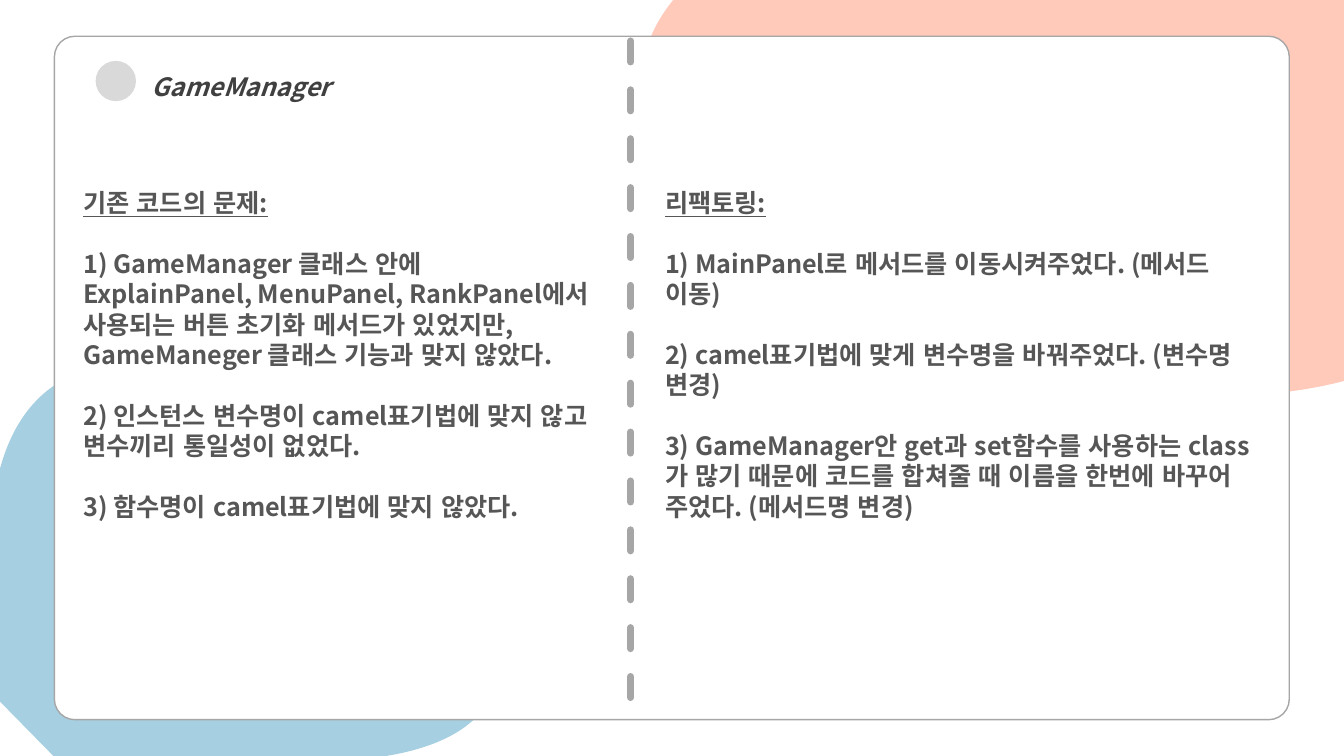
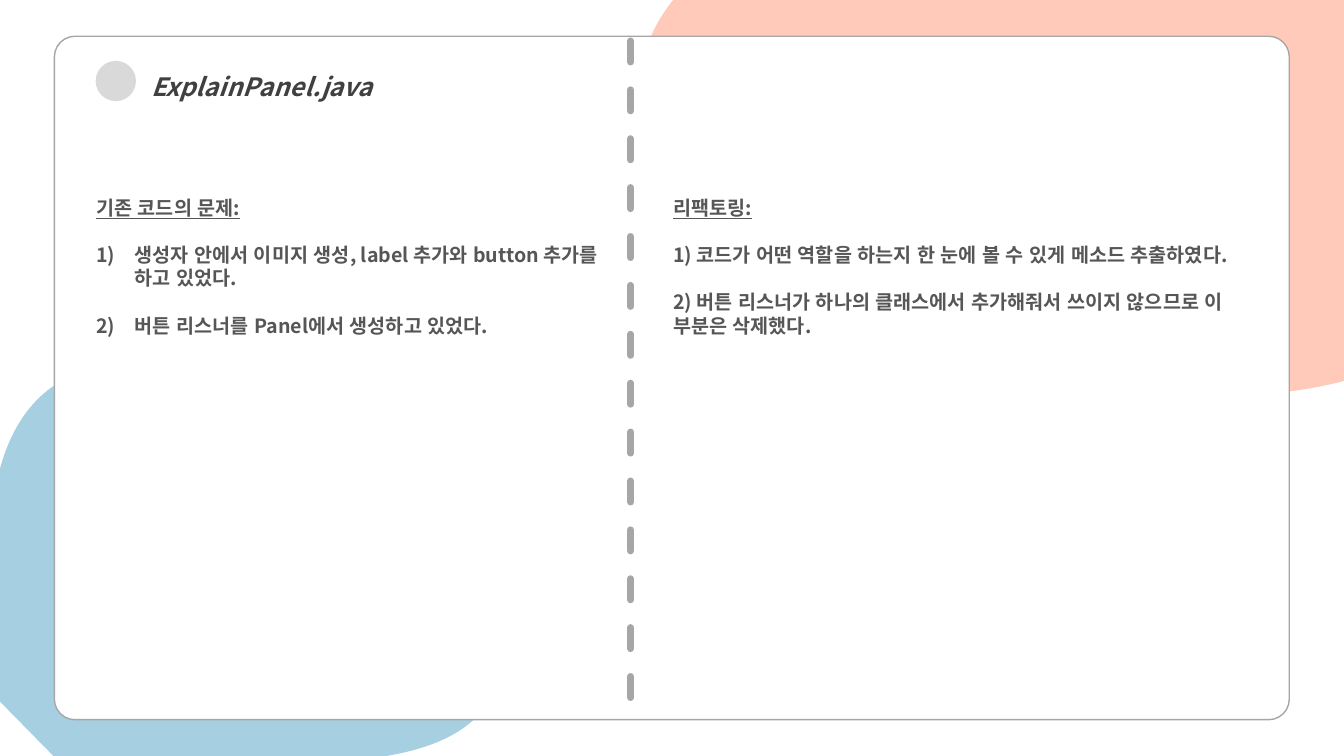
from dataclasses import dataclass

from lxml.etree import SubElement
from pptx import Presentation
from pptx.dml.color import RGBColor
from pptx.enum.dml import MSO_LINE
from pptx.enum.lang import MSO_LANGUAGE_ID
from pptx.enum.shapes import MSO_CONNECTOR, MSO_SHAPE
from pptx.enum.text import MSO_ANCHOR, MSO_AUTO_SIZE, PP_ALIGN
from pptx.oxml.ns import qn
from pptx.util import Emu, Inches, Pt

SLIDE_WIDTH, SLIDE_HEIGHT = Inches(13.333), Inches(7.5)
FONT = "Noto Sans CJK KR"
COLORS = {
    "blue": "A6CFE1",
    "coral": "FFCABA",
    "card": "FFFFFF",
    "rule": "A6A6A6",
    "dot": "D9D9D9",
    "title": "404040",
    "body": "565656",
}
LINE_HEIGHT = 1.21  # one empty line, as a multiple of the text size
NUMBER_INDENT = Inches(0.38)


# Positions and sizes are percentages of the slide's width and height
@dataclass(frozen=True)
class Box:
    left: float
    top: float
    width: float
    height: float

    def lengths(self) -> tuple:
        return (across(self.left), down(self.top),
                across(self.width), down(self.height))


@dataclass(frozen=True)
class Column:
    box: Box
    heading: str
    items: tuple
    numbered: bool = False


@dataclass(frozen=True)
class Review:
    title: str
    text_size: int
    columns: tuple


@dataclass(frozen=True)
class Blob:
    """Each segment holds one point (a line) or three points (a Bézier curve)."""
    color: str
    box: Box
    start: tuple
    segments: tuple


BLOBS = (
    Blob("blue", Box(0, 48.13, 37.13, 51.87), (10.28, 48.13), (
        ((25.8, 48.93), (50.1, 93.73), (28.73, 100)),
        ((3.98, 100),),
        ((0, 92.8),),
        ((0, 62),),
        ((1.58, 51.73), (5.48, 47.87), (10.28, 48.13)),
    )),
    Blob("coral", Box(47.8, 0, 52.2, 52.4), (100, 0), (
        ((100, 50.4),),
        ((77.4, 60.93), (37.8, 26.67), (50.1, 0)),
        ((100, 0),),
    )),
)
CARD = Box(4.05, 4.8, 91.88, 90.4)
TITLE = Box(10.5, 6.8, 33.23, 6.67)
DOT = Box(7.12, 8.05, 3, 5.33)
DIVIDER_X, DIVIDER_TOP, DIVIDER_BOTTOM = 46.92, 4.4, 92.27

PROBLEM, REFACTORING = "기존 코드의 문제:", "리팩토링:"
REVIEWS = (
    Review("GameManager", 18, (
        Column(Box(5.46, 24.18, 39.68, 51.6), PROBLEM, (
            "1) GameManager 클래스 안에 ExplainPanel, MenuPanel, RankPanel에서 "
            "사용되는 버튼 초기화 메서드가 있었지만, GameManeger 클래스 기능과 맞지 않았다.",
            "2) 인스턴스 변수명이 camel표기법에 맞지 않고 변수끼리 통일성이 없었다.",
            "3) 함수명이 camel표기법에 맞지 않았다.",
        )),
        Column(Box(48.75, 24.18, 45.38, 48.53), REFACTORING, (
            "1) MainPanel로 메서드를 이동시켜주었다. (메서드 이동)",
            "2) camel표기법에 맞게 변수명을 바꿔주었다. (변수명 변경)",
            "3) GameManager안 get과 set함수를 사용하는 class가 많기 때문에 "
            "코드를 합쳐줄 때 이름을 한번에 바꾸어 주었다. (메서드명 변경)",
        )),
    )),
    Review("ExplainPanel.java", 14, (
        Column(Box(6.43, 25.22, 39.68, 23.33), PROBLEM, (
            "생성자 안에서 이미지 생성, label 추가와 button 추가를 하고 있었다.",
            "버튼 리스너를 Panel에서 생성하고 있었다.",
        ), numbered=True),
        Column(Box(49.35, 25.22, 45.38, 26.53), REFACTORING, (
            "1) 코드가 어떤 역할을 하는지 한 눈에 볼 수 있게 메소드 추출하였다.",
            "2) 버튼 리스너가 하나의 클래스에서 추가해줘서 쓰이지 않으므로 "
            "이 부분은 삭제했다.",
        )),
    )),
)


def across(percent: float) -> Emu:
    return Emu(round(SLIDE_WIDTH * percent / 100))


def down(percent: float) -> Emu:
    return Emu(round(SLIDE_HEIGHT * percent / 100))


def color(name: str) -> RGBColor:
    return RGBColor.from_string(COLORS[name])


def paint(shape, fill: str, line: str = "") -> None:
    shape.shadow.inherit = False
    shape.fill.solid()
    shape.fill.fore_color.rgb = color(fill)
    if line:
        shape.line.color.rgb = color(line)
        shape.line.width = Pt(1)
    else:
        shape.line.fill.background()


def add_run(paragraph, text: str, size: int, color_name: str,
            italic: bool = False, underline: bool = False) -> None:
    run = paragraph.add_run()
    run.text = text
    font = run.font
    font.name, font.size, font.bold = FONT, Pt(size), True
    font.italic, font.underline = italic, underline
    font.color.rgb = color(color_name)
    font.language_id = MSO_LANGUAGE_ID.KOREAN
    east_asian = SubElement(run._r.get_or_add_rPr(), qn("a:ea"))
    east_asian.set("typeface", FONT)


def number_paragraph(paragraph) -> None:
    properties = paragraph._p.get_or_add_pPr()
    properties.set("marL", str(NUMBER_INDENT))
    properties.set("indent", str(-NUMBER_INDENT))
    SubElement(properties, qn("a:buFont")).set("typeface", FONT)
    SubElement(properties, qn("a:buAutoNum")).set("type", "arabicParenR")


# Shared background
def add_blob(slide, blob: Blob) -> None:
    corners = [(across(x), down(y))
               for x, y in (blob.start, *(segment[-1] for segment in blob.segments))]
    builder = slide.shapes.build_freeform(*corners[0])
    builder.add_line_segments(corners[1:], close=True)
    shape = builder.convert_to_shape()
    left, top, width, height = blob.box.lengths()
    shape.left, shape.top, shape.width, shape.height = left, top, width, height

    # Turn three-point segments into curves, measured from the blob's box
    outline = next(shape.element.iter(qn("a:path")))
    outline.set("w", str(width))
    outline.set("h", str(height))
    for command, points in zip(list(outline), ((blob.start,), *blob.segments)):
        if len(points) == 3:
            command.tag = qn("a:cubicBezTo")
        for old_point in list(command):
            command.remove(old_point)
        for x, y in points:
            point = SubElement(command, qn("a:pt"))
            point.set("x", str(across(x) - left))
            point.set("y", str(down(y) - top))
    paint(shape, blob.color)


def add_background(slide) -> None:
    for blob in BLOBS:
        add_blob(slide, blob)
    card = slide.shapes.add_shape(MSO_SHAPE.ROUNDED_RECTANGLE, *CARD.lengths())
    card.adjustments[0] = 0.03
    paint(card, "card", "rule")


def add_divider(slide) -> None:
    divider = slide.shapes.add_connector(
        MSO_CONNECTOR.STRAIGHT, across(DIVIDER_X), down(DIVIDER_BOTTOM),
        across(DIVIDER_X), down(DIVIDER_TOP))
    divider.line.color.rgb = color("rule")
    divider.line.width = Pt(5)
    divider.line.dash_style = MSO_LINE.DASH
    divider.line._get_or_add_ln().set("cap", "rnd")
    SubElement(divider.element.spPr, qn("a:effectLst"))


# Slide text
def place_title(slide, text: str) -> None:
    title = slide.shapes.title
    title.left, title.top, title.width, title.height = TITLE.lengths()
    frame = title.text_frame
    frame.word_wrap = True
    frame.auto_size = MSO_AUTO_SIZE.NONE
    frame.vertical_anchor = MSO_ANCHOR.TOP
    paragraph = frame.paragraphs[0]
    paragraph.alignment = PP_ALIGN.LEFT
    paragraph.line_spacing = 1.5
    paragraph.space_before = Pt(0)
    add_run(paragraph, text, 18, "title", italic=True)
    title.element.getparent().append(title.element)  # in front of the card
    paint(slide.shapes.add_shape(MSO_SHAPE.OVAL, *DOT.lengths()), "dot")


def add_column(slide, column: Column, size: int) -> None:
    frame = slide.shapes.add_textbox(*column.box.lengths()).text_frame
    frame.word_wrap = True
    add_run(frame.paragraphs[0], column.heading, size, "body", underline=True)
    for item in column.items:
        paragraph = frame.add_paragraph()
        paragraph.space_before = Pt(round(size * LINE_HEIGHT, 1))
        if column.numbered:
            number_paragraph(paragraph)
        add_run(paragraph, item, size, "body")


def add_review(presentation, review: Review) -> None:
    slide = presentation.slides.add_slide(presentation.slide_layouts[5])
    add_background(slide)
    place_title(slide, review.title)
    for column in review.columns:
        add_column(slide, column, review.text_size)
    add_divider(slide)


def main() -> None:
    presentation = Presentation()
    presentation.slide_width, presentation.slide_height = SLIDE_WIDTH, SLIDE_HEIGHT
    for review in REVIEWS:
        add_review(presentation, review)
    presentation.save("out.pptx")


if __name__ == "__main__":
    main()
